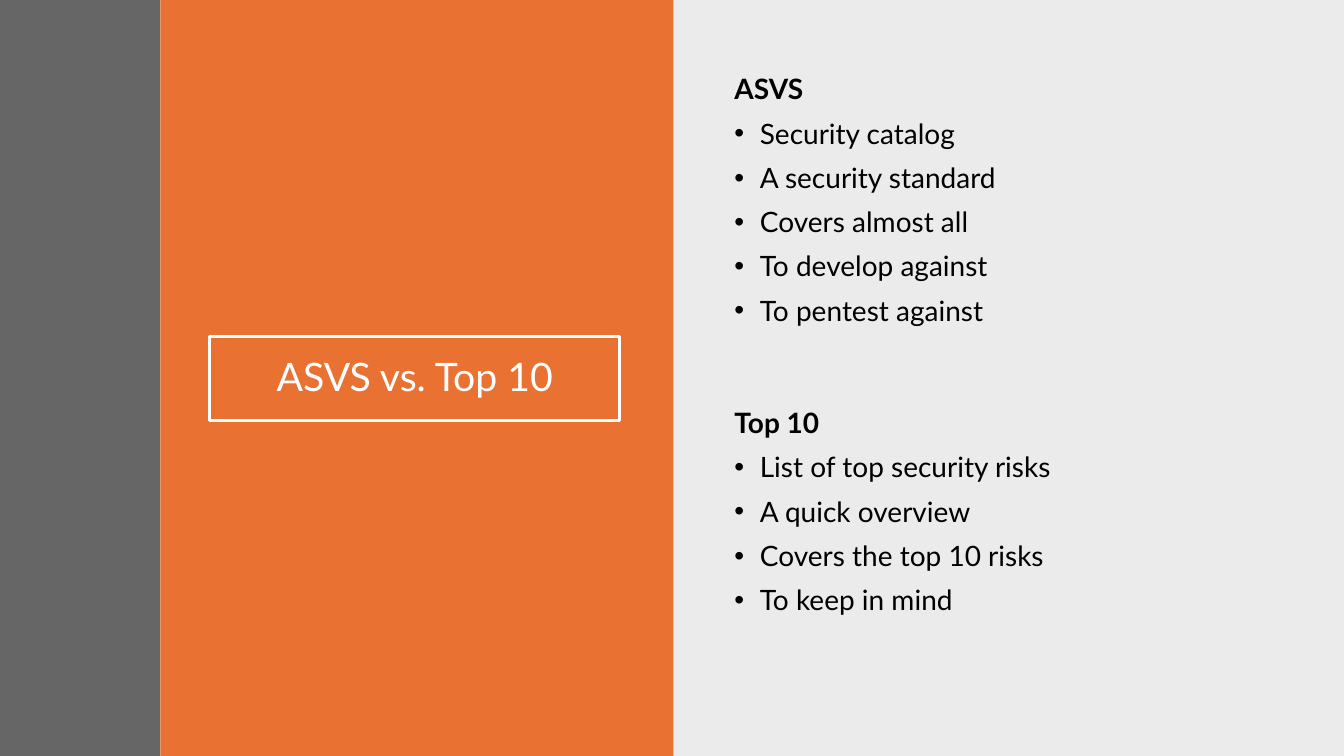
import pptx
import pptx.dml.color
import pptx.enum.shapes
import pptx.enum.text
import pptx.oxml
import pptx.oxml.ns
import pptx.util

Cm = pptx.util.Cm
Pt = pptx.util.Pt
WIDTH, HEIGHT = 33.87, 19.05


def color(value):
    return pptx.dml.color.RGBColor.from_string(value)


def write(paragraph, text, size=20, ink="000000", bold=False, align="LEFT",
          before=0, bullet=False):
    paragraph.alignment = getattr(pptx.enum.text.PP_ALIGN, align)
    paragraph.line_spacing = 0.9
    paragraph.space_before = Pt(before)
    if bullet:
        properties = paragraph._p.get_or_add_pPr()
        properties.set("marL", str(Cm(0.64)))
        properties.set("indent", str(-Cm(0.64)))
        namespace = pptx.oxml.ns.nsdecls("a")
        properties.append(pptx.oxml.parse_xml(f'<a:buFont {namespace} typeface="Arial"/>'))
        properties.append(pptx.oxml.parse_xml(f'<a:buChar {namespace} char="•"/>'))
    run = paragraph.add_run()
    run.text = text
    run.font.name = "Lato"
    run.font.size = Pt(size)
    run.font.bold = bold
    run.font.color.rgb = color(ink)


class ComparisonSlide:
    """Holds the panel colours and the current slide."""
    shade, accent, edge, white = "000000", "E97132", "404040", "FFFFFF"

    def __init__(self, slide):
        self.slide = slide

    def rectangle(self, left, top, width, height):
        shape = self.slide.shapes.add_shape(
            pptx.enum.shapes.MSO_SHAPE.RECTANGLE,
            Cm(left), Cm(top), Cm(width), Cm(height))
        shape.shadow.inherit = False
        return shape

    def panel(self, left, width, fill, opacity=100):
        panel = self.rectangle(left, 0, width, HEIGHT)
        panel.fill.solid()
        panel.fill.fore_color.rgb = color(fill)
        panel.line.fill.background()
        if opacity < 100:
            rgb = panel.fill._xPr.find(".//" + pptx.oxml.ns.qn("a:srgbClr"))
            alpha = pptx.oxml.parse_xml(
                f'<a:alpha {pptx.oxml.ns.nsdecls("a")} val="{opacity * 1000}"/>')
            rgb.append(alpha)

    def framed_title(self, text, left, top, width, height):
        frame = self.rectangle(left, top, width, height)
        frame.fill.background()
        frame.line.color.rgb = color(self.white)
        frame.line.width = Pt(2)
        frame.text_frame.word_wrap = True
        frame.text_frame.vertical_anchor = pptx.enum.text.MSO_ANCHOR.MIDDLE
        write(frame.text_frame.paragraphs[0], text, size=28, ink=self.white, align="CENTER")

    def topic(self, heading, points, top):
        box = self.slide.shapes.add_textbox(Cm(18.26), Cm(top), Cm(14.05), Cm(7.09))
        body = box.text_frame
        body.word_wrap = True
        write(body.paragraphs[0], heading, bold=True)
        for point in points:
            write(body.add_paragraph(), point, before=10, bullet=True)


def main():
    deck = pptx.Presentation()
    deck.slide_width, deck.slide_height = Cm(WIDTH), Cm(HEIGHT)
    page = ComparisonSlide(deck.slides.add_slide(deck.slide_layouts[6]))

    # Background panels and title
    page.panel(16.93, WIDTH - 16.93, page.shade, opacity=8)
    page.panel(4.04, 12.93, page.accent)
    page.framed_title("ASVS vs. Top 10", 5.28, 8.48, 10.34, 2.11)
    page.panel(0, 4.04, page.edge, opacity=80)

    # The two topics compared
    page.topic("ASVS", ["Security catalog", "A security standard", "Covers almost all",
                        "To develop against", "To pentest against"], top=1.78)
    page.topic("Top 10", ["List of top security risks", "A quick overview",
                          "Covers the top 10 risks", "To keep in mind"], top=10.19)

    deck.save("out.pptx")


if __name__ == "__main__":
    main()
